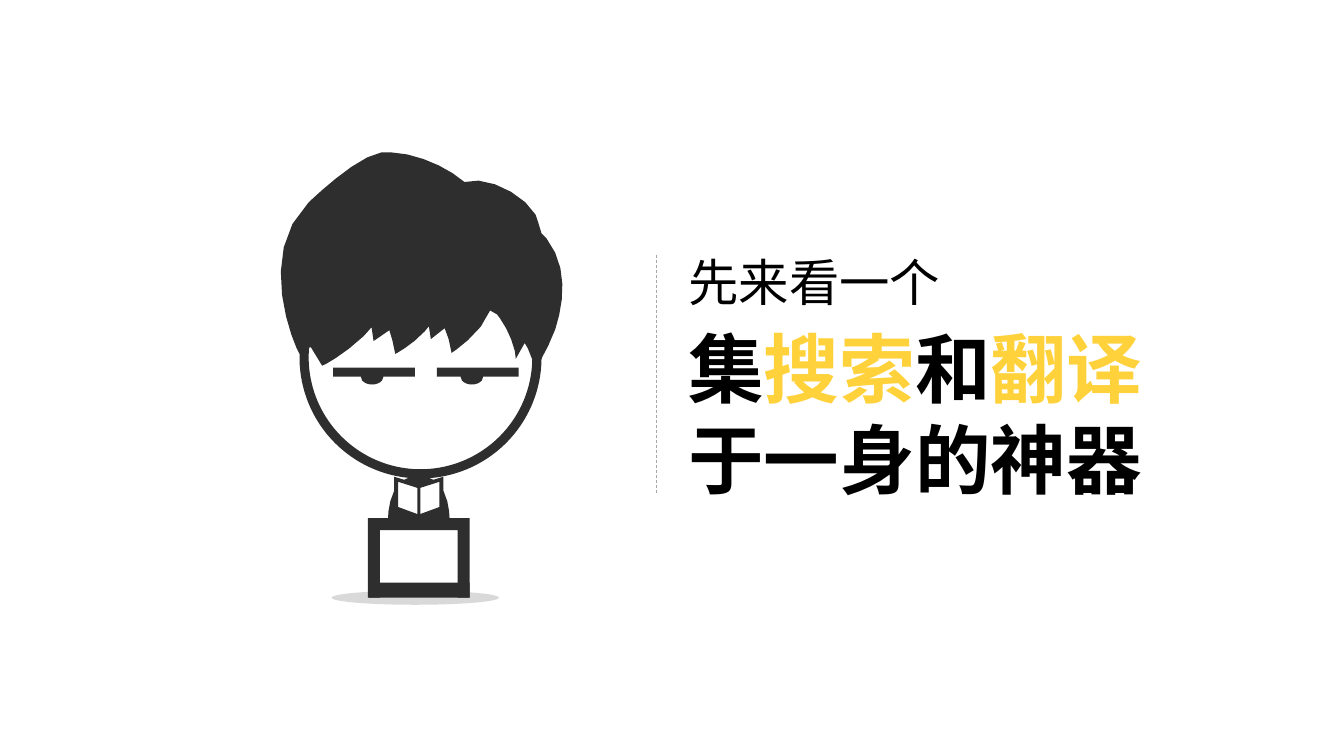
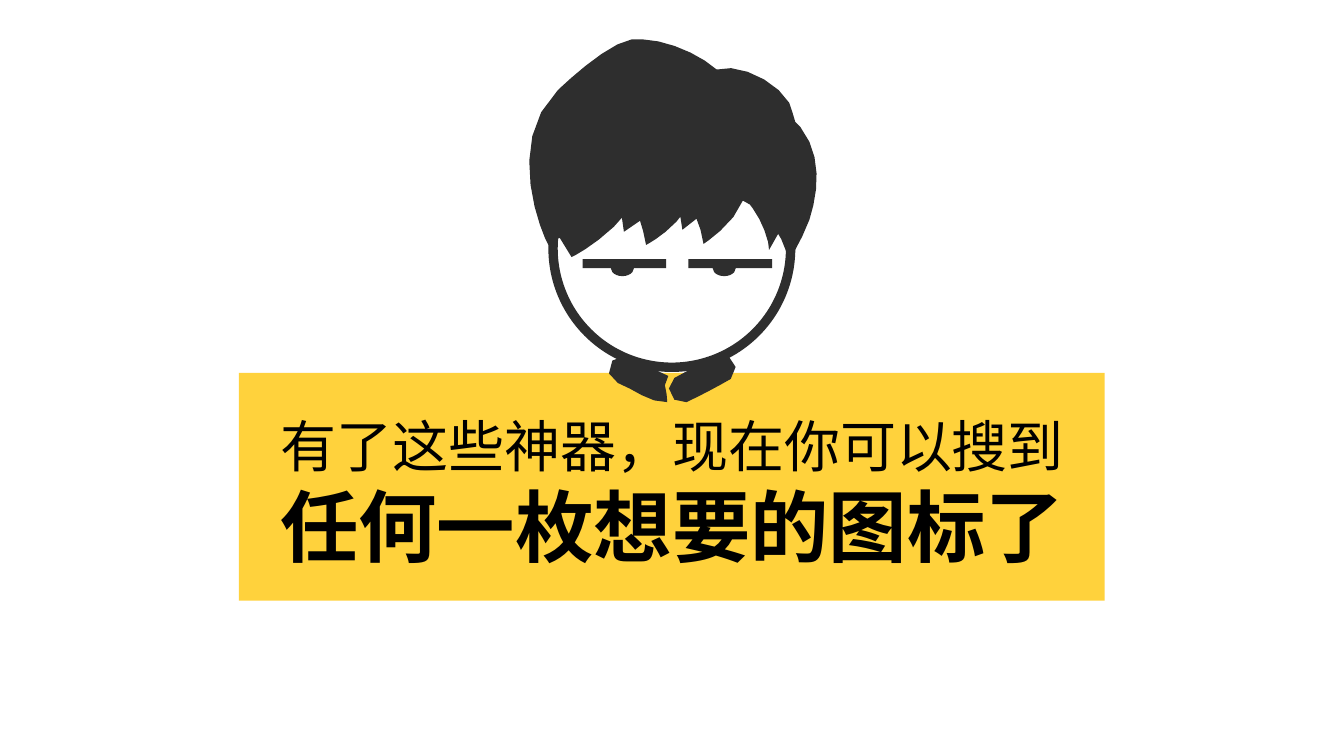
import math

from lxml import etree
from pptx import Presentation
from pptx.dml.color import RGBColor
from pptx.enum import dml, shapes, text
from pptx.oxml import ns
from pptx.util import Inches, Pt

BLACK = RGBColor(0, 0, 0)
WHITE = RGBColor(255, 255, 255)
INK = RGBColor(0x2E, 0x2E, 0x2E)
YELLOW = RGBColor(0xFF, 0xD2, 0x3C)
SHADE = RGBColor(0xD9, 0xD9, 0xD9)
GREY = RGBColor(0xA6, 0xA6, 0xA6)
LIGHT, HEAVY = "Roboto", "Noto Sans CJK SC"

OVAL = shapes.MSO_SHAPE.OVAL
RECT = shapes.MSO_SHAPE.RECTANGLE
RING = shapes.MSO_SHAPE.DONUT

HAIR = [
    (6.37, 0.39), (6.63, 0.4, 6.94, 0.54, 7.11, 0.69),
    (7.32, 0.62, 7.7, 0.8, 7.83, 1.02), (7.86, 1.11),
    (7.89, 1.21), (7.94, 1.26), (8.16, 1.54, 8.12, 1.9, 8.03, 2.18),
    (7.94, 2.42, 7.82, 2.59, 7.82, 2.59), (7.81, 2.52), (7.75, 2.37),
    (7.72, 2.32), (7.63, 2.48), (7.62, 2.4),
    (7.59, 2.28, 7.54, 2.17, 7.47, 2.07), (7.44, 2.03), (7.37, 1.99),
    (7.29, 2.22, 6.98, 2.42, 6.98, 2.42), (6.95, 2.28), (6.91, 2.17),
    (6.77, 2.28), (6.75, 2.15), (6.71, 2.2),
    (6.57, 2.35, 6.41, 2.43, 6.41, 2.43), (6.38, 2.29), (6.35, 2.19),
    (6.19, 2.3), (6.17, 2.16), (6.09, 2.25),
    (5.89, 2.44, 5.68, 2.55, 5.67, 2.55), (5.56, 2.37),
    (5.55, 2.36), (5.44, 2.43), (5.39, 2.35, 4.99, 1.43, 5.53, 0.9),
    (5.54, 0.89, 6.01, 0.43, 6.27, 0.39),
]
BODY = [
    (4.66, 5.14), (4.46, 5.14), (4.46, 5.09, 4.45, 4.97, 4.4, 4.87),
    (4.4, 4.73), (4.3, 4.76), (4.26, 4.74, 4.21, 4.72, 4.16, 4.73),
    (4.09, 4.72, 4.05, 4.74, 4.01, 4.76), (3.91, 4.73), (3.91, 4.87),
    (3.86, 4.97, 3.85, 5.09, 3.85, 5.14), (3.65, 5.14), (3.65, 5.93),
    (3.77, 5.93), (3.77, 5.26), (4.54, 5.26), (4.54, 5.93), (4.66, 5.93),
]
RIGHT_PAGE = [(4.17, 4.84), (4.36, 4.78), (4.36, 5.03), (4.17, 5.1)]
LEFT_PAGE = [(3.95, 4.78), (4.14, 4.84), (4.14, 5.1), (3.95, 5.03)]
RIGHT_COLLAR = [
    (7.1, 3.53), (7.23, 3.44, 7.38, 3.67, 7.25, 3.76),
    (7.11, 3.84, 6.96, 3.92, 6.81, 3.99), (6.67, 4.04, 6.57, 3.82, 6.69, 3.75),
]
LEFT_COLLAR = [
    (6.13, 3.8), (5.97, 3.76, 6.04, 3.5, 6.2, 3.53), (6.63, 3.73),
    (6.55, 3.82, 6.64, 3.92, 6.62, 3.99), (6.44, 4, 6.29, 3.86, 6.13, 3.8),
]


def flatten(outline):
    """Turn corner points and cubic curves into a list of points."""
    points = [outline[0]]
    for seg in outline[1:]:
        if len(seg) == 2:
            points.append(seg)
            continue
        ends = [points[-1], seg[:2], seg[2:4], seg[4:]]
        steps = 2 + round(4 * math.dist(ends[0], ends[3]))
        for i in range(1, steps + 1):
            t = i / steps
            weights = ((1 - t) ** 3, 3 * t * (1 - t) ** 2, 3 * t * t * (1 - t), t ** 3)
            points.append(tuple(sum(w * e[k] for w, e in zip(weights, ends)) for k in (0, 1)))
    return points


class Deck:
    """Holds the presentation, its style and the current slide."""

    def __init__(self):
        self.prs = Presentation()
        self.prs.slide_width, self.prs.slide_height = Inches(40 / 3), Inches(7.5)

    def slide(self):
        """Start a blank slide."""
        self.s = self.prs.slides.add_slide(self.prs.slide_layouts[6])

    def paint(self, sp, color):
        """Give a shape a plain fill without line or shadow."""
        sp.shadow.inherit = False
        sp.fill.solid()
        sp.fill.fore_color.rgb = color
        sp.line.fill.background()
        return sp

    def shape(self, kind, x, y, w, h, color, parent=None):
        """Add a filled preset shape."""
        box = [Inches(v) for v in (x, y, w, h)]
        return self.paint((parent or self.s).shapes.add_shape(kind, *box), color)

    def outline(self, *contours, parent=None, place=lambda x, y: (x, y)):
        """Add a filled freeform of one or more contours."""
        builder = None
        for contour in contours:
            first, *rest = [tuple(Inches(v) for v in place(*p)) for p in flatten(contour)]
            if builder is None:
                builder = (parent or self.s).shapes.build_freeform(*first)
            else:
                builder.move_to(*first)
            builder.add_line_segments(rest, close=True)
        return self.paint(builder.convert_to_shape(), INK)

    def head(self, dx=0, dy=0, scale=1):
        """Add the grouped head, moved and scaled."""
        def place(x, y):
            return dx + x * scale, dy + y * scale

        def part(kind, x, y, w, h, color=INK):
            return self.shape(kind, *place(x, y), w * scale, h * scale, color, grp)

        grp = self.s.shapes.add_group_shape()
        part(OVAL, 5.47, 1.23, 2.37, 2.37, WHITE)
        for lid, pupil in ((5.78, 6.06), (6.83, 7.07)):
            part(RECT, lid, 2.57, 0.83, 0.09)
            part(OVAL, pupil, 2.58, 0.23, 0.16)
        part(RING, 5.44, 1.24, 2.45, 2.45).adjustments[0] = 0.038
        self.outline(HAIR, parent=grp, place=place)

    def text(self, x, y, w, h, lines, align=text.PP_ALIGN.LEFT):
        """Add lines of (font, size, line height, coloured runs)."""
        tf = self.s.shapes.add_textbox(*[Inches(v) for v in (x, y, w, h)]).text_frame
        tf.word_wrap = True
        for i, (font, size, height, runs) in enumerate(lines):
            p = tf.paragraphs[0] if i == 0 else tf.add_paragraph()
            p.alignment = align
            p.line_spacing = Pt(height)
            for words, color in runs:
                r = p.add_run()
                r.text = words
                r.font.name, r.font.size = font, Pt(size)
                r.font.bold = font == HEAVY
                r.font.color.rgb = color
                latin = r.font._element.find(ns.qn("a:latin"))
                latin.addnext(etree.Element(ns.qn("a:ea"), typeface=font))

    def divider(self, x, top, bottom):
        """Add a thin dashed vertical line."""
        ends = [Inches(v) for v in (x, top, x, bottom)]
        cn = self.s.shapes.add_connector(shapes.MSO_CONNECTOR.STRAIGHT, *ends)
        cn.line.color.rgb = GREY
        cn.line.width = Pt(0.5)
        cn.line.dash_style = dml.MSO_LINE.DASH
        etree.SubElement(cn._element.spPr, ns.qn("a:effectLst"))


def main():
    """Build both slides."""
    d = Deck()

    d.slide()
    d.shape(OVAL, 3.29, 5.86, 1.66, 0.14, SHADE)
    d.head(-2.36, 1.13, 0.98)
    d.outline(BODY, RIGHT_PAGE, LEFT_PAGE)
    d.shape(RECT, 3.66, 5.78, 1, 0.15, INK)
    d.text(6.73, 2.43, 2.72, 0.71, [(LIGHT, 36, 44, [("先来看一个", BLACK)])])
    d.text(6.73, 3.14, 5.46, 1.92, [
        (HEAVY, 54, 65, [("集", BLACK), ("搜索", YELLOW), ("和", BLACK), ("翻译", YELLOW)]),
        (HEAVY, 54, 65, [("于一身的神器", BLACK)]),
    ])
    d.divider(6.51, 2.53, 4.89)

    d.slide()
    d.shape(RECT, 2.37, 3.7, 8.59, 2.26, YELLOW)
    d.outline(RIGHT_COLLAR)
    d.outline(LEFT_COLLAR)
    d.head()
    d.text(2.64, 4.03, 8.06, 1.72, [
        (LIGHT, 40, 48, [("有了这些神器，现在你可以搜到", BLACK)]),
        (HEAVY, 56, 67, [("任何一枚想要的图标了", BLACK)]),
    ], text.PP_ALIGN.CENTER)

    d.prs.save("out.pptx")


if __name__ == "__main__":
    main()
